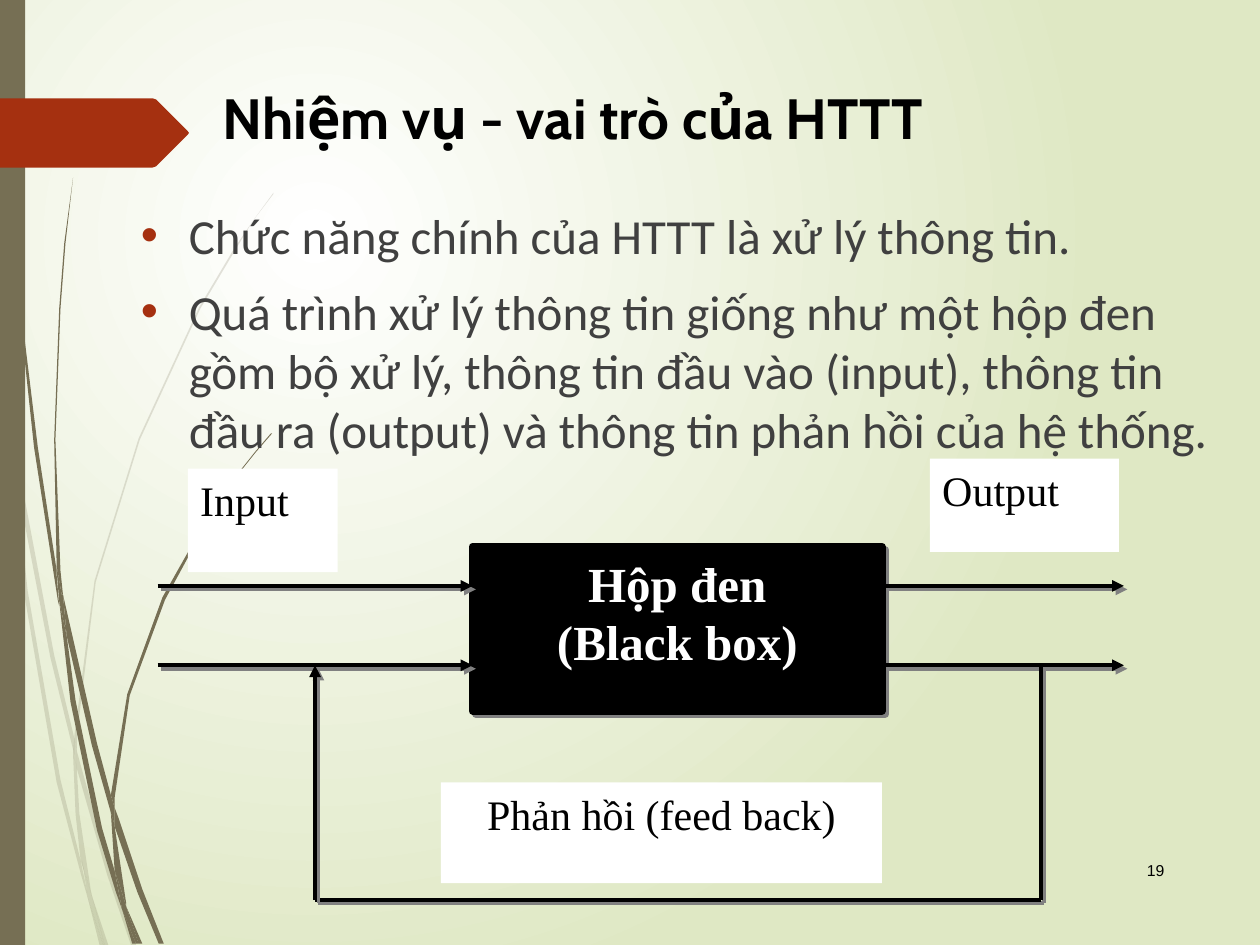
from dataclasses import dataclass

from lxml.etree import SubElement
from pptx import Presentation
from pptx.dml.color import RGBColor as Rgb
from pptx.enum.shapes import MSO_CONNECTOR as Link, MSO_SHAPE as Preset
from pptx.enum.text import MSO_ANCHOR as Anchor, PP_ALIGN as Align
from pptx.oxml.ns import qn
from pptx.util import Inches, Pt


@dataclass(frozen=True)
class Theme:
    """Colours, fonts and type sizes of the slide."""
    black: str = "000000"
    white: str = "FFFFFF"
    meadow: str = "DFE8C4"
    olive: str = "766F54"
    rust: str = "A53010"
    body: str = "404040"
    shadow: str = "808080"
    title_font: str = "Cabin"
    body_font: str = "Calibri"
    label_font: str = "Times New Roman"
    number_font: str = "Arial"
    title_size: float = 32.4
    body_size: float = 28
    label_size: float = 24
    number_size: float = 9


THEME = Theme()

PALE_WISPS = [
    [(0.08, 3.5), (0.06, 3.22), (0, 2.82), (0, 2.99), (0.07, 3.44)],
    [(0.4, 5.22), (0.59, 5.99), (0.59, 5.86), (0.43, 5.2), (0.1, 3.45), (0.12, 3.76)],
    [(0.64, 6.07), (0.61, 5.96), (0.61, 6.1), (0.85, 6.94), (1.04, 7.5), (1.08, 7.5),
     (0.88, 6.92)],
    [(0.83, 7.5), (0.86, 7.5), (0.73, 7.11)],
    [(0.64, 6.83), (0.48, 6.19), (0.22, 4.69), (0.12, 3.76), (0.08, 3.5), (0.19, 4.7),
     (0.45, 6.21), (0.64, 6.93), (0.7, 7.14), (0.69, 7.07)],
    [(0.58, 5.99), (0.6, 6.46), (0.64, 6.83), (0.67, 6.92), (0.73, 7.11), (0.72, 7.06),
     (0.63, 6.46), (0.61, 6.1), (0.61, 6.08)],
    [(0.61, 5.84), (0.76, 4.62), (1.11, 3.49), (1.59, 2.45), (1.87, 1.98), (2.01, 1.75),
     (2.17, 1.54), (2.17, 1.53), (2.01, 1.75), (1.86, 1.97), (1.58, 2.44), (1.1, 3.48),
     (0.75, 4.61), (0.59, 5.84), (0.59, 5.86), (0.61, 5.96)],
    [(0.7, 7.14), (0.79, 7.5), (0.82, 7.5)],
    [(0.61, 6.08), (0.61, 6.1), (0.61, 5.96), (0.59, 5.86), (0.58, 5.99)],
    [(0.67, 6.92), (0.65, 6.83), (0.69, 7.07), (0.7, 7.14), (0.82, 7.5), (0.83, 7.5),
     (0.73, 7.11)],
]

DARK_WISPS = [
    [(0.05, 1.1), (0.14, 2.33), (0.27, 3.55), (0.46, 4.77), (0.47, 4.81), (0.45, 4.57),
     (0.45, 4.53), (0.3, 3.55), (0.15, 2.32), (0.06, 1.09), (0.04, 0.48), (0.03, 0),
     (0.02, 0), (0.03, 0.48)],
    [(0.73, 5.92), (0.88, 6.45), (0.88, 6.33), (0.88, 6.31), (0.77, 5.9), (0.5, 4.72),
     (0.53, 5.05)],
    [(0.94, 6.49), (0.91, 6.41), (0.91, 6.56), (1.09, 7.08), (1.26, 7.49), (1.3, 7.49),
     (1.13, 7.06)],
    [(0.91, 6.91), (0.81, 6.57), (0.6, 5.56), (0.53, 5.05), (0.47, 4.77), (0.56, 5.57),
     (0.77, 6.59), (0.92, 7.08), (0.97, 7.22), (0.96, 7.17)],
    [(0.5, 4.72), (0.48, 4.53), (0.44, 3.49), (0.48, 2.45), (0.52, 1.93), (0.58, 1.41),
     (0.51, 1.93), (0.47, 2.45), (0.43, 3.49), (0.45, 4.49), (0.49, 4.72)],
    [(1.1, 7.49), (1.13, 7.49), (1, 7.19)],
    [(0.47, 4.77), (0.53, 5.05), (0.5, 4.72), (0.49, 4.72), (0.45, 4.49), (0.45, 4.53)],
    [(0.91, 6.33), (1.03, 5.52), (1.31, 4.76), (1.69, 4.06), (1.91, 3.74), (2.03, 3.59),
     (2.16, 3.44), (2.15, 3.44), (2.03, 3.58), (1.91, 3.73), (1.68, 4.05), (1.29, 4.74),
     (1.01, 5.51), (0.88, 6.31), (0.91, 6.41)],
    [(0.97, 7.22), (1.05, 7.49), (1.08, 7.49)],
    [(0.88, 6.45), (0.91, 6.91), (0.96, 7.06), (1, 7.19), (1, 7.16), (0.91, 6.56),
     (0.9, 6.51)],
    [(0.88, 6.45), (0.9, 6.51), (0.91, 6.56), (0.91, 6.41), (0.88, 6.31), (0.88, 6.33)],
    [(0.96, 7.06), (0.91, 6.91), (0.96, 7.17), (0.97, 7.22), (1.08, 7.49), (1.1, 7.49),
     (1, 7.19)],
]

FLAG = [(0, 0.78), (1.21, 0.78), (1.24, 0.79), (1.49, 1.04), (1.5, 1.055), (1.49, 1.07),
        (1.24, 1.32), (1.21, 1.33), (0, 1.33)]


def paint_background(slide):
    """Fill the slide with a round glow centred in its upper left quarter."""
    fill = slide.background.fill
    fill.gradient()
    for stop, color in zip(fill.gradient_stops, (THEME.white, THEME.meadow)):
        stop.color.rgb = Rgb.from_string(color)
    gradient = next(slide.element.iter(qn("a:gradFill")))
    gradient.remove(gradient.find(qn("a:lin")))
    glow = SubElement(gradient, qn("a:path"), path="circle")
    SubElement(glow, qn("a:fillToRect"), l="50000", t="50000", r="100000", b="100000")


def add_outline(slide, points, color, opacity=100):
    """Draw a filled closed outline through points given in inches."""
    corners = [(Inches(x), Inches(y)) for x, y in points]
    builder = slide.shapes.build_freeform(*corners[0])
    builder.add_line_segments(corners[1:])
    outline = builder.convert_to_shape()
    outline.shadow.inherit = False
    outline.line.fill.background()
    outline.fill.solid()
    outline.fill.fore_color.rgb = Rgb.from_string(color)
    if opacity < 100:
        tint = next(outline.element.spPr.iter(qn("a:srgbClr")))
        SubElement(tint, qn("a:alpha"), val=str(opacity * 1000))


def write(holder, lines, font, size, color, bold=False, align=Align.LEFT, anchor=Anchor.TOP):
    """Put lines of text into a shape, one paragraph each."""
    frame = holder.text_frame
    frame.word_wrap = True
    frame.vertical_anchor = anchor
    frame.text = "\n".join(lines)
    for paragraph in frame.paragraphs:
        paragraph.alignment = align
        paragraph.font.name = font
        paragraph.font.size = Pt(size)
        paragraph.font.bold = bold
        paragraph.font.color.rgb = Rgb.from_string(color)


def add_text(slide, place, lines, *style, **layout):
    """Add a text box and return it."""
    holder = slide.shapes.add_textbox(*map(Inches, place))
    write(holder, lines, *style, **layout)
    return holder


def add_bullets(holder):
    """Give each paragraph a coloured bullet and a hanging indent."""
    for paragraph in holder.text_frame.paragraphs:
        paragraph.space_before = Pt(10)
        props = paragraph._p.get_or_add_pPr()
        props.set("marL", str(Inches(0.38)))
        props.set("indent", str(-Inches(0.38)))
        defaults = props.find(qn("a:defRPr"))
        tint = SubElement(props, qn("a:buClr"))
        SubElement(tint, qn("a:srgbClr"), val=THEME.rust)
        typeface = SubElement(props, qn("a:buFont"), typeface="Arial")
        mark = SubElement(props, qn("a:buChar"), char="•")
        for part in (tint, typeface, mark):
            defaults.addprevious(part)


def add_block(slide, place, color):
    """Add a plain filled rectangle without a border."""
    block = slide.shapes.add_shape(Preset.RECTANGLE, *map(Inches, place))
    block.shadow.inherit = False
    block.fill.solid()
    block.fill.fore_color.rgb = Rgb.from_string(color)
    block.line.fill.background()
    return block


def cast_shadow(effects):
    """Add a hard shadow to the lower right."""
    shadow = SubElement(effects, qn("a:outerShdw"), blurRad="0", dist=str(Pt(2.8)),
                        dir="2700000", algn="ctr", rotWithShape="0")
    SubElement(shadow, qn("a:srgbClr"), val=THEME.shadow)


def add_flow(slide, start, end, arrow):
    """Draw a shadowed flow line, with an arrowhead at its end if wanted."""
    flow = slide.shapes.add_connector(Link.STRAIGHT, *map(Inches, start + end))
    flow.line.color.rgb = Rgb.from_string(THEME.black)
    flow.line.width = Pt(2.25)
    if arrow:
        SubElement(flow.line._get_or_add_ln(), qn("a:tailEnd"), type="triangle")
    cast_shadow(SubElement(flow.element.spPr, qn("a:effectLst")))


def add_black_box(slide):
    """Add the processing box in the middle of the diagram."""
    box = add_block(slide, (3.75, 4.34, 3.25, 1.3), THEME.black)
    box.line.color.rgb = Rgb.from_string(THEME.black)
    box.line.width = Pt(4.5)
    cast_shadow(box.element.spPr.find(qn("a:effectLst")))
    write(box, ["Hộp đen", "(Black box)"], THEME.label_font, THEME.body_size,
          THEME.white, bold=True, align=Align.CENTER)


def add_diagram(slide):
    """Draw the box, its inputs and outputs, the feedback loop and the labels."""
    add_black_box(slide)
    upper, lower, loop_bottom = 4.65, 5.28, 7.14
    loop_left, loop_right = 2.5, 8.26
    for left, right in ((1.25, 3.75), (7.01, 8.92)):
        for level in (upper, lower):
            add_flow(slide, (left, level), (right, level), True)
    loop = [(loop_right, lower), (loop_right, loop_bottom),
            (loop_left, loop_bottom), (loop_left, lower)]
    for start, end in zip(loop, loop[1:]):
        add_flow(slide, start, end, end == loop[-1])
    for label, place, align in (
            ("Phản hồi (feed back)", (3.5, 6.21, 3.5, 0.8), Align.CENTER),
            ("Output", (7.38, 3.64, 1.5, 0.74), Align.LEFT),
            ("Input", (1.49, 3.72, 1.19, 0.82), Align.LEFT)):
        write(add_block(slide, place, THEME.white), [label], THEME.label_font,
              THEME.label_size, THEME.black, align=align)


def main():
    """Build the slide and save it."""
    deck = Presentation()
    deck.slide_width, deck.slide_height = Inches(10), Inches(7.5)
    slide = deck.slides.add_slide(deck.slide_layouts[6])
    paint_background(slide)
    for wisps, opacity in ((PALE_WISPS, 20), (DARK_WISPS, 100)):
        for wisp in wisps:
            add_outline(slide, wisp, THEME.olive, opacity)
    add_block(slide, (0, 0, 0.2, 7.5), THEME.olive)
    add_outline(slide, FLAG, THEME.rust)
    add_text(slide, (8.5, 6.71, 0.84, 0.4), ["19"], THEME.number_font, THEME.number_size,
             THEME.black, align=Align.RIGHT, anchor=Anchor.MIDDLE)
    add_text(slide, (1.67, 0.61, 9, 0.6), ["Nhiệm vụ - vai trò của HTTT"],
             THEME.title_font, THEME.title_size, THEME.black, bold=True)
    points = ["Chức năng chính của HTTT là xử lý thông tin.",
              "Quá trình xử lý thông tin giống như một hộp đen gồm bộ xử lý, thông tin đầu vào "
              "(input), thông tin đầu ra (output) và thông tin phản hồi của hệ thống."]
    add_bullets(add_text(slide, (1.02, 1.58, 9, 2.17), points, THEME.body_font,
                         THEME.body_size, THEME.body))
    add_diagram(slide)
    deck.save("out.pptx")


if __name__ == "__main__":
    main()
